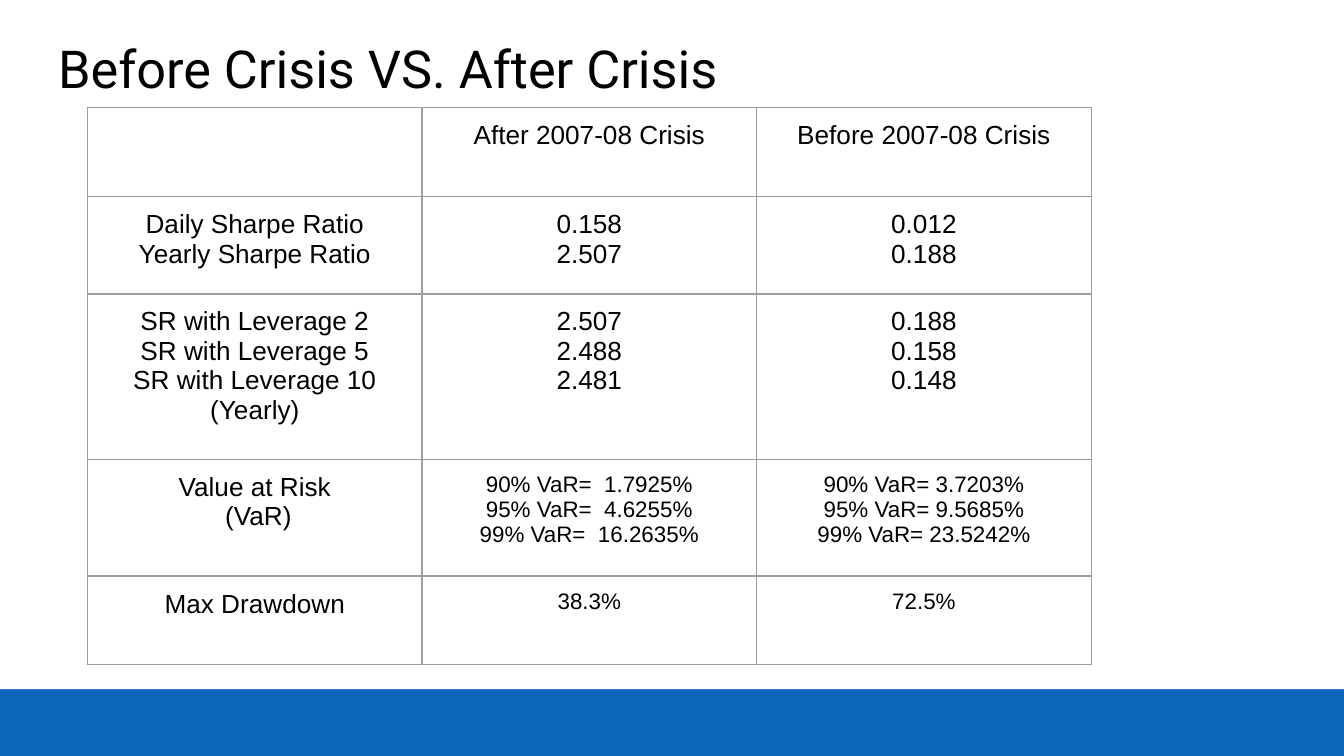
from lxml.etree import SubElement
from pptx import Presentation
from pptx.dml.color import RGBColor
from pptx.enum.shapes import MSO_SHAPE as SHAPE
from pptx.enum.text import MSO_ANCHOR as ANCHOR, PP_ALIGN as ALIGN
from pptx.oxml.ns import qn
from pptx.util import Pt

PX = 4762.5  # EMU per px, 192 px to the inch
SLIDE_W, SLIDE_H = 1920, 1080
INSET = 19

BLACK = RGBColor(0x00, 0x00, 0x00)
BAR_BLUE = RGBColor(0x0D, 0x67, 0xB9)
BAR_EDGE = RGBColor(0x3C, 0x78, 0xD8)
GRID_GREY = RGBColor(0x9E, 0x9E, 0x9E)

COL_WIDTH = 478
ROW_HEIGHTS = [127, 139, 236, 167, 127]
LABEL_SIZE = 14

# Each row: size of its values, then the cells; a cell is a list of
# paragraphs, and a newline inside a paragraph is a line break.
ROWS = [
    (14, [[], ["After 2007-08 Crisis"], ["Before 2007-08 Crisis"]]),
    (14, [["Daily Sharpe Ratio\nYearly Sharpe Ratio"],
          ["0.158", "2.507"],
          ["0.012", "0.188"]]),
    (14, [["SR with Leverage 2", "SR with Leverage 5",
           "SR with Leverage 10", "(Yearly)"],
          ["2.507", "2.488", "2.481"],
          ["0.188", "0.158", "0.148"]]),
    (12, [["Value at Risk\n (VaR)"],
          ["90% VaR=  1.7925%", "95% VaR=  4.6255%", "99% VaR=  16.2635%"],
          ["90% VaR= 3.7203%", "95% VaR= 9.5685%", "99% VaR= 23.5242%"]]),
    (12, [["Max Drawdown"], ["38.3%"], ["72.5%"]]),
]


def px(length):
    return round(length * PX)


def box(*lengths):
    return [px(length) for length in lengths]


def set_insets(frame):
    frame.margin_left = frame.margin_right = px(INSET)
    frame.margin_top = frame.margin_bottom = px(INSET)


def add_text(tf, paragraphs, size, font, align):
    for i, text in enumerate(paragraphs):
        p = tf.paragraphs[0] if i == 0 else tf.add_paragraph()
        p.alignment = align
        for j, line in enumerate(text.split("\n")):
            if j:
                p.add_line_break()
            r = p.add_run()
            r.text = line
            r.font.size = Pt(size)
            r.font.name = font
            r.font.color.rgb = BLACK


def add_bar(slide, x, y, w, h):
    sp = slide.shapes.add_shape(SHAPE.RECTANGLE, *box(x, y, w, h))
    sp.shadow.inherit = False
    sp.fill.solid()
    sp.fill.fore_color.rgb = BAR_BLUE
    sp.line.color.rgb = BAR_EDGE
    sp.line.width = Pt(0.75)


def add_title(slide, text, x, y, w, h):
    tf = slide.shapes.add_textbox(*box(x, y, w, h)).text_frame
    tf.word_wrap = True
    set_insets(tf)
    add_text(tf, [text], 28, "Roboto", ALIGN.LEFT)


def set_borders(cell):
    tc_pr = cell._tc.get_or_add_tcPr()
    for i, side in enumerate(("a:lnL", "a:lnR", "a:lnT", "a:lnB")):
        ln = SubElement(tc_pr, qn(side), w=str(Pt(0.75)))
        tc_pr.insert(i, ln)  # borders come before the fill
        fill = SubElement(ln, qn("a:solidFill"))
        SubElement(fill, qn("a:srgbClr"), val=str(GRID_GREY))


def add_comparison_table(slide, x, y):
    cols = len(ROWS[0][1])
    table = slide.shapes.add_table(
        len(ROWS), cols, *box(x, y, cols * COL_WIDTH, sum(ROW_HEIGHTS))).table
    table.first_row = table.horz_banding = False
    for col in table.columns:
        col.width = px(COL_WIDTH)
    for row, height, (value_size, contents) in zip(table.rows, ROW_HEIGHTS, ROWS):
        row.height = px(height)
        for c, (cell, paragraphs) in enumerate(zip(row.cells, contents)):
            size = value_size if c else LABEL_SIZE
            set_insets(cell)
            cell.vertical_anchor = ANCHOR.TOP
            cell.fill.background()
            set_borders(cell)
            add_text(cell.text_frame, paragraphs, size, "Arial", ALIGN.CENTER)


def main():
    prs = Presentation()
    prs.slide_width, prs.slide_height = box(SLIDE_W, SLIDE_H)
    slide = prs.slides.add_slide(prs.slide_layouts[6])

    # Footer bar
    add_bar(slide, -1, 985, 1922, 96)
    # Heading
    add_title(slide, "Before Crisis VS. After Crisis", 64, 33, 1789, 121)
    # Risk figures
    add_comparison_table(slide, 125, 154)

    prs.save("out.pptx")


if __name__ == "__main__":
    main()
